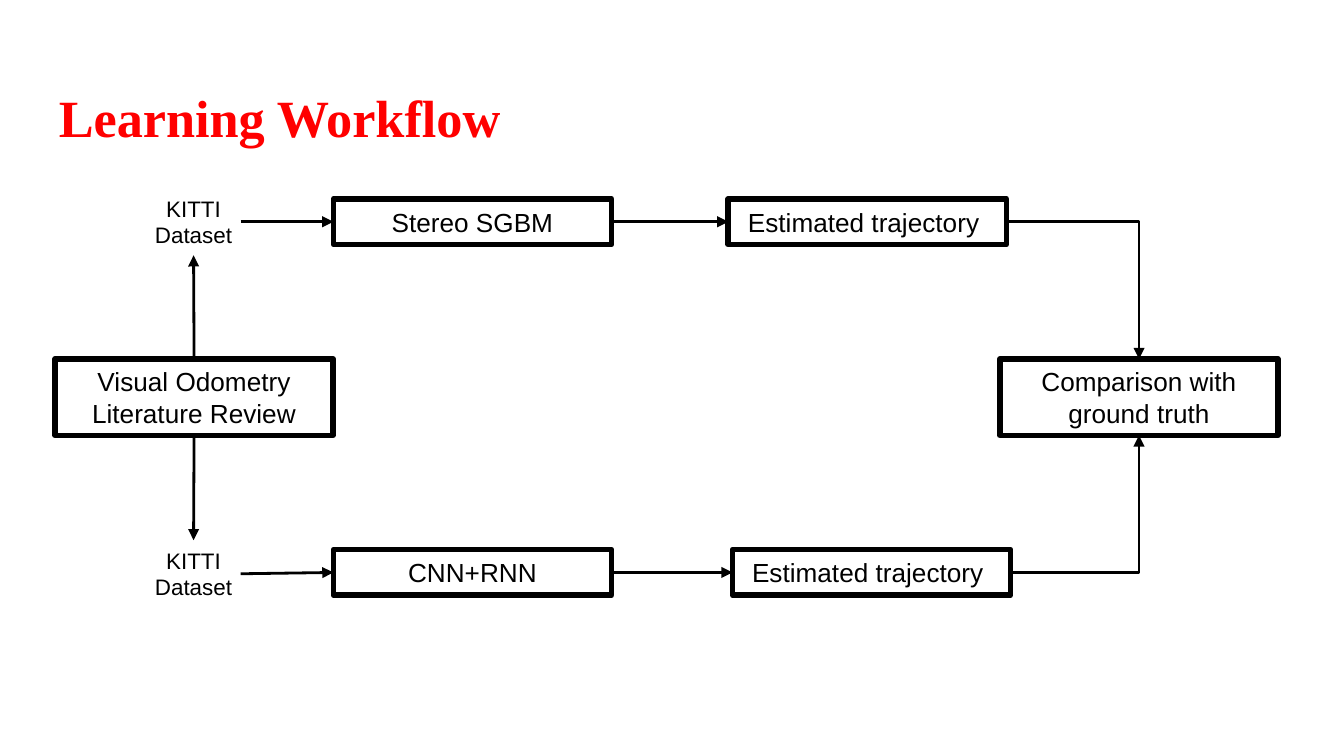
import pptx
import pptx.dml.color
import pptx.enum.shapes
import pptx.enum.text
import pptx.oxml
import pptx.oxml.ns
import pptx.util

Pt = pptx.util.Pt
BLACK = pptx.dml.color.RGBColor(0, 0, 0)
RED = pptx.dml.color.RGBColor(255, 0, 0)
CONNECTOR = pptx.enum.shapes.MSO_CONNECTOR
CENTER = pptx.enum.text.PP_ALIGN.CENTER

BOX_WIDTH = 149
ONE_LINE, TWO_LINES = 24.5, 41
TOP_ROW, MIDDLE_ROW, BOTTOM_ROW = 118.8, 212.8, 306.7  # row centres
LEFT_COLUMN, METHOD_COLUMN, RIGHT_COLUMN = 29.5, 178.6, 535.7
DATASET_LEFT, DATASET_WIDTH, DATASET_HEIGHT = 50.4, 106.6, 36
TOP, LEFT, BOTTOM, RIGHT = range(4)  # connection sites of a rectangle


def set_text(shape, text, size, color=BLACK, font="Arial", bold=False, align=CENTER):
    frame = shape.text_frame
    frame.word_wrap = True
    frame.text = text
    for paragraph in frame.paragraphs:
        paragraph.alignment = align
        for span in paragraph.runs:
            span.font.name = font
            span.font.size = Pt(size)
            span.font.bold = bold
            span.font.color.rgb = color


def add_title(page, text):
    title = page.shapes.add_textbox(Pt(24.5), Pt(35.3), Pt(671), Pt(45.4))
    set_text(title, text, 28, RED, "Times New Roman", True, None)
    frame = title.text_frame
    frame.margin_left = frame.margin_right = frame.margin_bottom = Pt(7.2)
    frame.margin_top = Pt(10.4)


def add_box(page, text, left, middle, height=ONE_LINE):
    box = page.shapes.add_shape(
        pptx.enum.shapes.MSO_SHAPE.RECTANGLE,
        Pt(left), Pt(middle - height / 2), Pt(BOX_WIDTH), Pt(height))
    box.shadow.inherit = False
    box.fill.background()
    box.line.color.rgb = BLACK
    box.line.width = Pt(3)
    set_text(box, text, 14)
    return box


def add_dataset(page, top):
    label = page.shapes.add_textbox(
        Pt(DATASET_LEFT), Pt(top), Pt(DATASET_WIDTH), Pt(DATASET_HEIGHT))
    set_text(label, "KITTI\nDataset", 12)
    return label


def add_arrow(page, start, start_site, end, end_site, bent=False):
    kind = CONNECTOR.ELBOW if bent else CONNECTOR.STRAIGHT
    arrow = page.shapes.add_connector(kind, 0, 0, 0, 0)
    arrow.begin_connect(start, start_site)
    arrow.end_connect(end, end_site)
    arrow.line.color.rgb = BLACK
    arrow.line.width = Pt(1.5)
    properties = arrow._element.spPr
    if bent:  # a single corner
        properties.find(pptx.oxml.ns.qn("a:prstGeom")).set("prst", "bentConnector2")
    namespace = pptx.oxml.ns.nsdecls("a")
    arrow.line._get_or_add_ln().append(
        pptx.oxml.parse_xml(f'<a:tailEnd {namespace} type="triangle"/>'))
    properties.append(pptx.oxml.parse_xml(f"<a:effectLst {namespace}/>"))
    return arrow


def add_branch(page, review, comparison, method, middle, dataset_top, result_left, upward):
    """One path from the review, through a method, to the comparison."""
    away, facing = (TOP, BOTTOM) if upward else (BOTTOM, TOP)
    dataset = add_dataset(page, dataset_top)
    method_box = add_box(page, method, METHOD_COLUMN, middle)
    result = add_box(page, "Estimated trajectory ", result_left, middle)
    add_arrow(page, review, away, dataset, facing)
    feed = add_arrow(page, dataset, RIGHT, method_box, LEFT)
    feed.begin_x = Pt(128.9)  # starts beside the words
    add_arrow(page, method_box, RIGHT, result, LEFT)
    add_arrow(page, result, RIGHT, comparison, away, bent=True)


def main():
    deck = pptx.Presentation()
    deck.slide_width, deck.slide_height = Pt(720), Pt(405)
    page = deck.slides.add_slide(deck.slide_layouts[6])
    add_title(page, "Learning Workflow ")

    # Shared start and end
    review = add_box(page, "Visual Odometry\nLiterature Review",
                     LEFT_COLUMN, MIDDLE_ROW, TWO_LINES)
    comparison = add_box(page, "Comparison with ground truth",
                         RIGHT_COLUMN, MIDDLE_ROW, TWO_LINES)

    # Classical and learned branches
    add_branch(page, review, comparison, "Stereo SGBM", TOP_ROW, 100.8, 390.2, True)
    add_branch(page, review, comparison, "CNN+RNN", BOTTOM_ROW, 289.4, 392.4, False)
    deck.save("out.pptx")


main()
